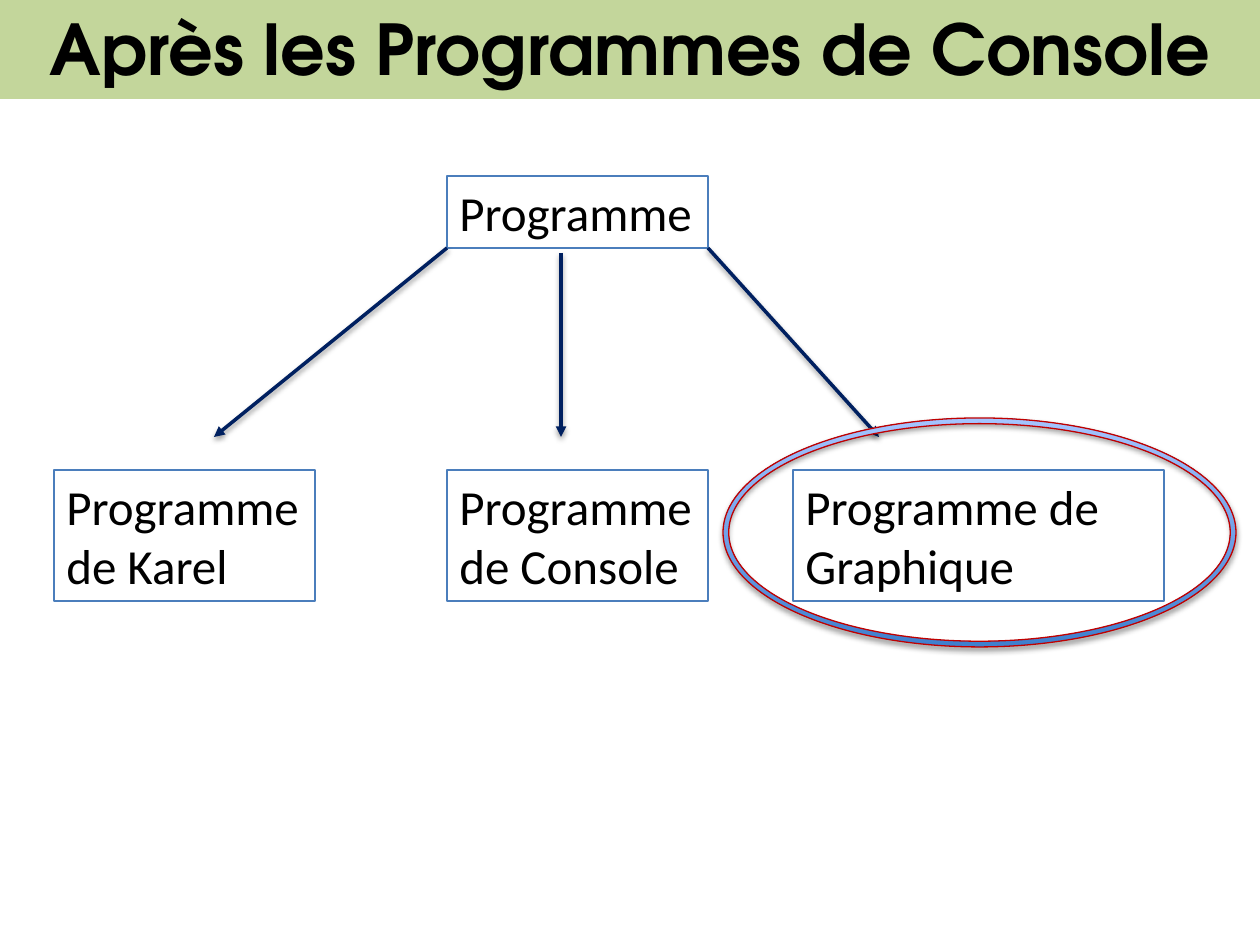
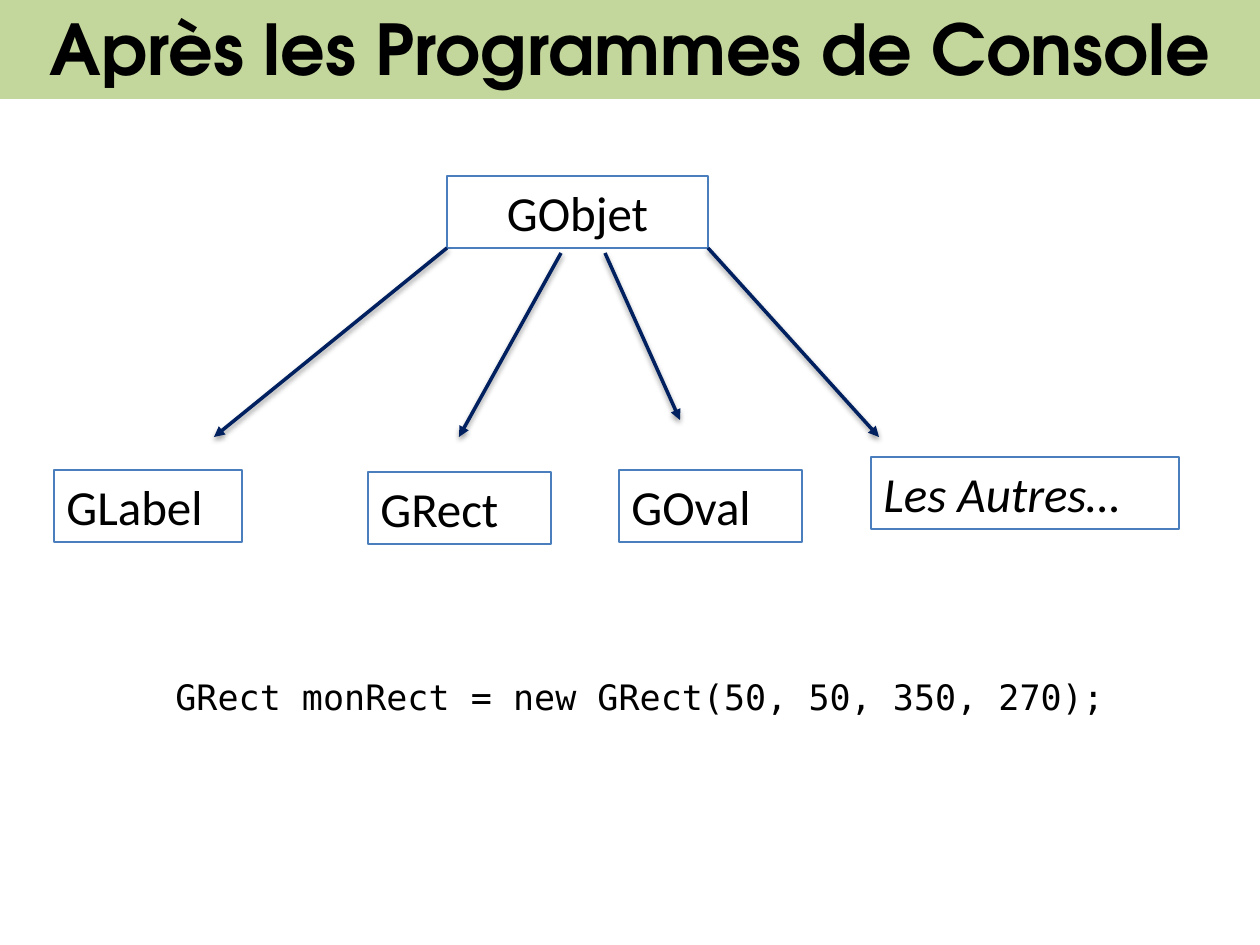
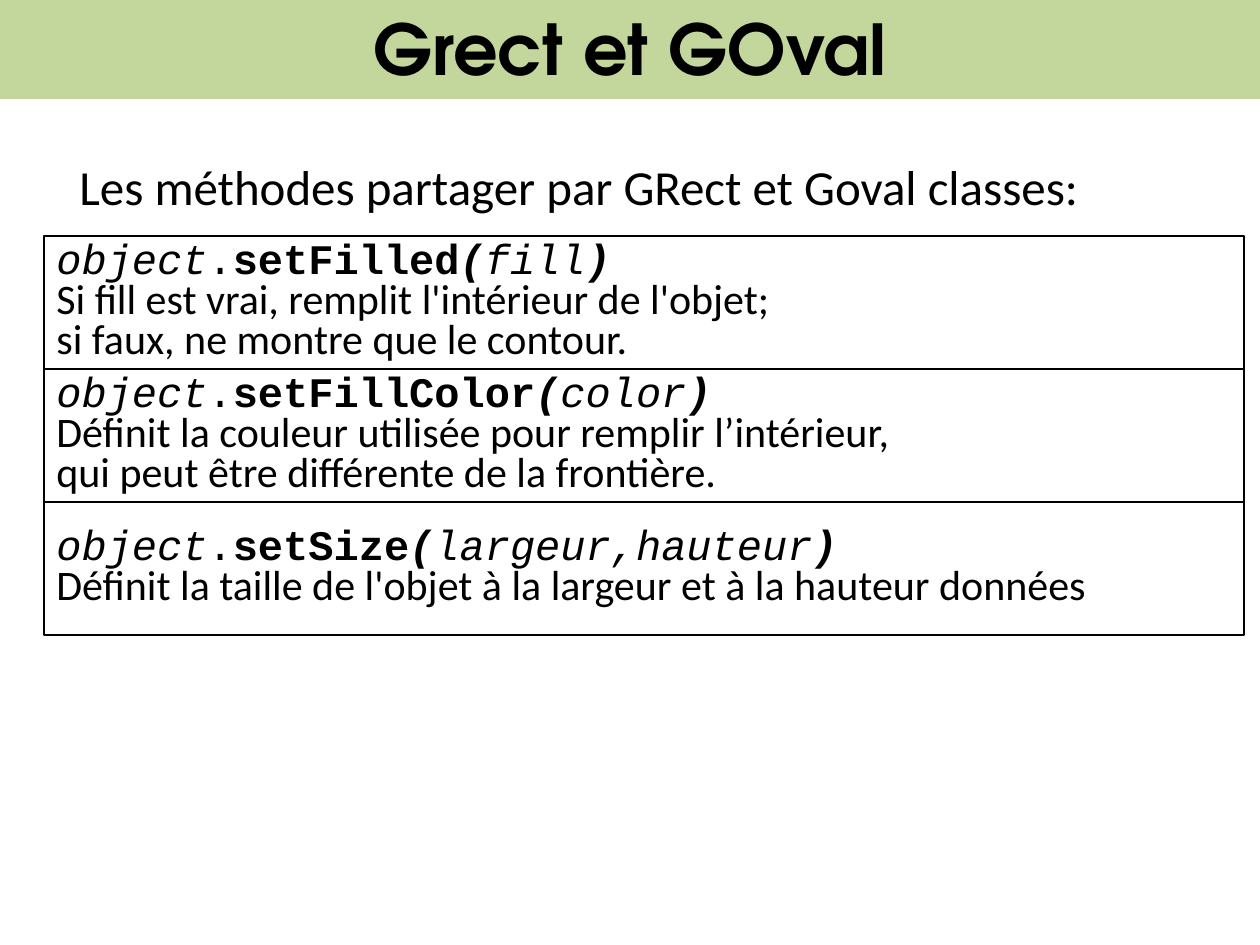
import lxml.etree
import pptx
import pptx.dml.color
import pptx.enum.shapes
import pptx.enum.text
import pptx.oxml.ns
import pptx.util

RGBColor = pptx.dml.color.RGBColor
Shapes = pptx.enum.shapes.MSO_SHAPE
Align = pptx.enum.text.PP_ALIGN
Anchor = pptx.enum.text.MSO_ANCHOR
qn = pptx.oxml.ns.qn

BLACK = RGBColor(0x00, 0x00, 0x00)
WHITE = RGBColor(0xFF, 0xFF, 0xFF)
BAND_GREEN = RGBColor(0xC3, 0xD6, 0x9B)
BOX_BLUE = RGBColor(0x4B, 0x7E, 0xBC)
ARROW_NAVY = RGBColor(0x00, 0x20, 0x60)
RING_RED = RGBColor(0xC0, 0x00, 0x00)
RING_DARK = RGBColor(0x3F, 0x80, 0xCE)
RING_LIGHT = RGBColor(0xA4, 0xC4, 0xFF)

TITLE_FONT = "TeX Gyre Adventor"
BODY_FONT = "Calibri"
METHOD_FONT = "Courier New"
CODE_FONT = "DejaVu Sans Mono"

PX_PER_INCH = 126
PAGE_WIDTH = 1260
PAGE_HEIGHT = 945
LINE_BOX_HEIGHT = 72
TWO_LINE_BOX_HEIGHT = 131

ROOT_LEFT, ROOT_TOP, ROOT_WIDTH = 447, 176, 261
ROOT_BOTTOM = ROOT_TOP + LINE_BOX_HEIGHT
ROOT_RIGHT = ROOT_LEFT + ROOT_WIDTH
CHILD_LEFT, CHILD_TOP = 54, 470
ARROW_TOP, ARROW_BOTTOM = 253, 437


def emu(px):
    return pptx.util.Emu(round(px * pptx.util.Inches(1) / PX_PER_INCH))


class Deck:
    def __init__(self):
        self.deck = pptx.Presentation()
        self.deck.slide_width = emu(PAGE_WIDTH)
        self.deck.slide_height = emu(PAGE_HEIGHT)
        self.page = None

    def add_page(self, title):
        self.page = self.deck.slides.add_slide(self.deck.slide_layouts[6])
        band = self.shape(Shapes.RECTANGLE, 0, -4, PAGE_WIDTH, 103, fill=BAND_GREEN)
        band.text_frame.vertical_anchor = Anchor.MIDDLE
        para = self.paragraph(band, Align.CENTER)
        self.span(para, title, 40, TITLE_FONT, bold=True)

    def shape(self, kind, left, top, width, height, fill=None, line=None):
        shape = self.page.shapes.add_shape(
            kind, emu(left), emu(top), emu(width), emu(height))
        shape.shadow.inherit = False
        if fill is None:
            shape.fill.background()
        else:
            shape.fill.solid()
            shape.fill.fore_color.rgb = fill
        if line is None:
            shape.line.fill.background()
        else:
            shape.line.color.rgb = line
            shape.line.width = pptx.util.Pt(0.75)
        shape.text_frame.word_wrap = True
        shape.text_frame.vertical_anchor = Anchor.TOP
        return shape

    def paragraph(self, box, align=Align.LEFT, spacing=None):
        para = box.text_frame.paragraphs[0]
        if para.runs:
            para = box.text_frame.add_paragraph()
        para.alignment = align
        para.line_spacing = spacing
        return para

    def span(self, para, text, size, font=BODY_FONT, bold=False, italic=False):
        span = para.add_run()
        span.text = text
        span.font.size = pptx.util.Pt(size)
        span.font.name = font
        span.font.bold = bold
        span.font.italic = italic
        span.font.color.rgb = BLACK

    def class_box(self, lines, left, top, width, height=LINE_BOX_HEIGHT,
                  align=Align.LEFT, italic=False):
        box = self.shape(Shapes.RECTANGLE, left, top, width, height, line=BOX_BLUE)
        for line in lines:
            self.span(self.paragraph(box, align), line, 28, italic=italic)

    def text(self, text, left, top, width, height, size, font=BODY_FONT,
             align=Align.LEFT, spacing=None, wrap=True):
        box = self.page.shapes.add_textbox(
            emu(left), emu(top), emu(width), emu(height))
        box.text_frame.word_wrap = wrap
        self.span(self.paragraph(box, align, spacing), text, size, font)

    def shadow(self, effects, distance, opacity):
        shadow = lxml.etree.SubElement(
            effects, qn("a:outerShdw"), blurRad="40000", dist=str(distance),
            dir="5400000", rotWithShape="0")
        color = lxml.etree.SubElement(shadow, qn("a:srgbClr"), val=str(BLACK))
        lxml.etree.SubElement(color, qn("a:alpha"), val=str(opacity * 1000))

    def arrow(self, start, end):
        arrow = self.page.shapes.add_connector(
            pptx.enum.shapes.MSO_CONNECTOR.STRAIGHT,
            *(emu(px) for px in start + end))
        arrow.line.color.rgb = ARROW_NAVY
        arrow.line.width = pptx.util.Pt(2)
        properties = arrow.element.spPr
        lxml.etree.SubElement(
            properties.find(qn("a:ln")), qn("a:tailEnd"), type="triangle")
        effects = lxml.etree.SubElement(properties, qn("a:effectLst"))
        self.shadow(effects, 20000, 38)

    def ring(self, left, top, width, height):
        ring = self.shape(Shapes.DONUT, left, top, width, height, line=RING_RED)
        ring.adjustments[0] = 0.025
        ring.fill.gradient()
        ring.fill.gradient_angle = 90
        for stop, color in zip(ring.fill.gradient_stops, (RING_DARK, RING_LIGHT)):
            stop.color.rgb = color
        self.shadow(ring.element.spPr.find(qn("a:effectLst")), 23000, 35)

    def method_box(self, method, argument, lines, left, top, width, height):
        box = self.shape(
            Shapes.RECTANGLE, left, top, width, height, fill=WHITE, line=BLACK)
        box.text_frame.vertical_anchor = Anchor.MIDDLE
        para = self.paragraph(box, spacing=0.8)
        for text, bold, italic in (
            ("object", False, True),
            (".", False, False),
            (method, True, False),
            ("(", True, True),
            (argument, False, True),
            (")", True, True),
        ):
            self.span(para, text, 24, METHOD_FONT, bold, italic)
        para.add_line_break()
        self.span(para, lines[0], 24)
        for line in lines[1:]:
            self.span(self.paragraph(box, spacing=0.8), line, 24)

    def tree(self, root, root_align, inner_arrows):
        self.class_box([root], ROOT_LEFT, ROOT_TOP, ROOT_WIDTH, align=root_align)
        outer_arrows = [
            ((ROOT_LEFT, ROOT_BOTTOM), (214, ARROW_BOTTOM)),
            ((ROOT_RIGHT, ROOT_BOTTOM), (879, ARROW_BOTTOM)),
        ]
        for start, end in outer_arrows + inner_arrows:
            self.arrow(start, end)


def program_page(deck):
    deck.add_page("Après les Programmes de Console")
    deck.tree("Programme", Align.LEFT, [((561, ARROW_TOP), (561, ARROW_BOTTOM))])
    for lines, left, width in (
        (["Programme de Karel"], CHILD_LEFT, ROOT_WIDTH),
        (["Programme", "de Console"], ROOT_LEFT, ROOT_WIDTH),
        (["Programme de Graphique"], 793, 371),
    ):
        deck.class_box(lines, left, CHILD_TOP, width, TWO_LINE_BOX_HEIGHT)
    deck.ring(723, 418, 513, 229)


def object_page(deck):
    deck.add_page("Après les Programmes de Console")
    deck.tree("GObjet", Align.CENTER, [
        ((561, ARROW_TOP), (459, ARROW_BOTTOM)),
        ((605, ARROW_TOP), (680, 420)),
    ])
    for name, left, top, width, italic in (
        ("GLabel", CHILD_LEFT, CHILD_TOP, 188, False),
        ("GRect", 368, 472, 183, False),
        ("GOval", 619, CHILD_TOP, 183, False),
        ("Les Autres…", 871, 457, 308, True),
    ):
        deck.class_box([name], left, top, width, italic=italic)
    deck.text("GRect monRect = new GRect(50, 50, 350, 270);",
              163, 669, 959, 55, 20, CODE_FONT, wrap=False)


def method_page(deck):
    deck.add_page("Grect et GOval")
    deck.text("Les méthodes partager par GRect et Goval classes:",
              67, 159, 1120, 166, 28, align=Align.JUSTIFY, spacing=0.85)
    methods = (
        ("setFilled", "fill",
         ["Si fill est vrai, remplit l'intérieur de l'objet;",
          "si faux, ne montre que le contour."]),
        ("setFillColor", "color",
         ["Définit la couleur utilisée pour remplir l’intérieur,",
          "qui peut être différente de la frontière."]),
        ("setSize", "largeur,hauteur",
         ["Définit la taille de l'objet à la largeur et à la hauteur données"]),
    )
    row_height = 133
    for row, (method, argument, lines) in enumerate(methods):
        deck.method_box(method, argument, lines,
                        44, 236 + row * row_height, 1200, row_height)


def main():
    deck = Deck()
    program_page(deck)
    object_page(deck)
    method_page(deck)
    deck.deck.save("out.pptx")


if __name__ == "__main__":
    main()
